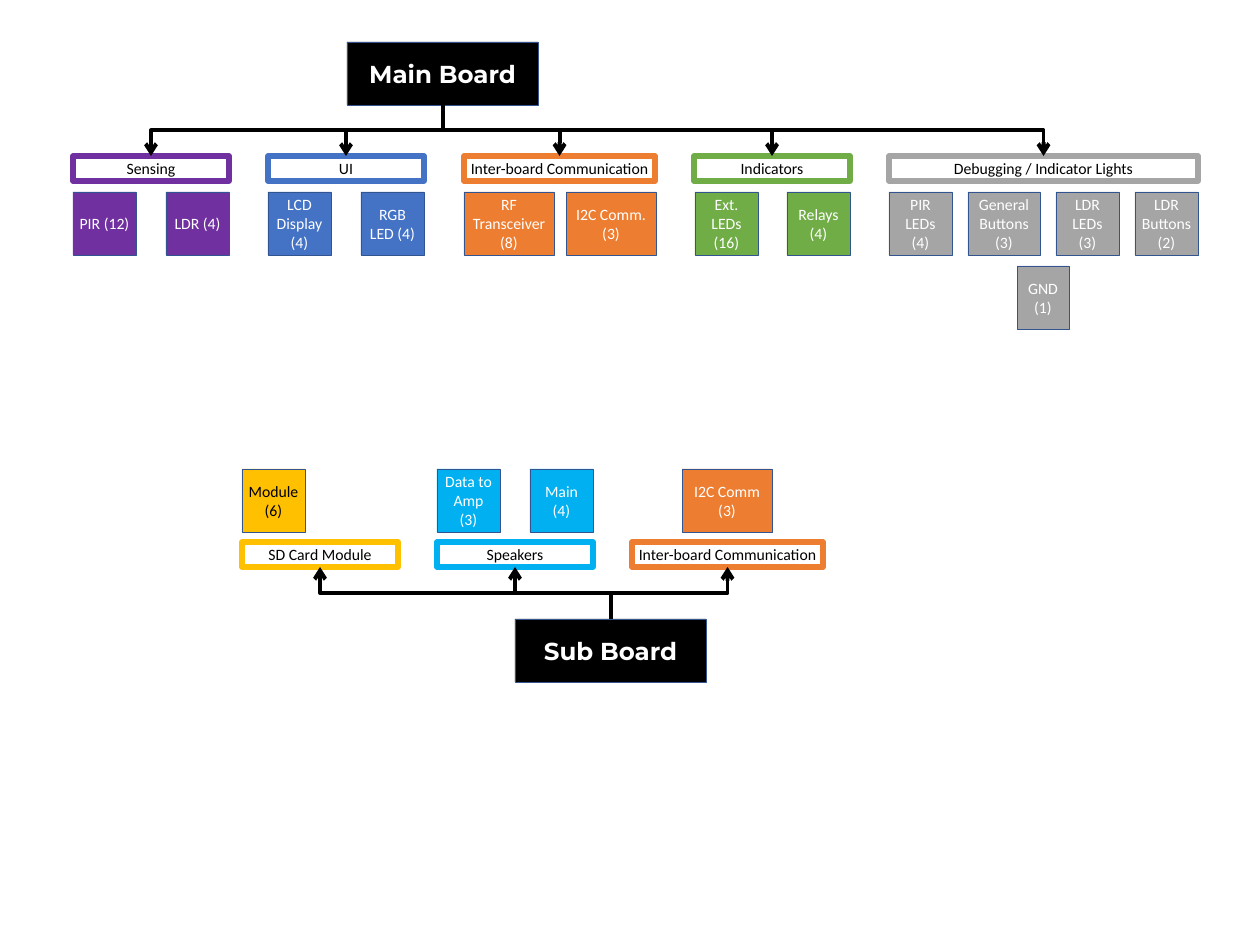
from pptx import Presentation
from pptx.dml.color import RGBColor as Rgb
from pptx.enum.shapes import MSO_CONNECTOR as Link, MSO_SHAPE as Shape
from pptx.enum.text import MSO_ANCHOR as Anchor, MSO_AUTO_SIZE as Fit, PP_ALIGN as Align
from pptx.oxml.ns import qn
from pptx.util import Pt
from lxml.etree import SubElement

SCALE = 914400 / 63
COLORS = {
    "black": "000000", "white": "FFFFFF", "edge": "325491", "purple": "7030A0",
    "blue": "4472C4", "orange": "ED7D31", "green": "70AD47", "gray": "A5A5A5",
    "cyan": "00B0F0", "yellow": "FFC000",
}
BOARD_FONT = {"name": "Montserrat", "size": Pt(28), "bold": True}
LABEL_FONT = {"name": "Calibri", "size": Pt(18), "bold": False}
TILE_FRAME = {"word_wrap": True, "vertical_anchor": Anchor.MIDDLE}
HEADER_FRAME = {"word_wrap": True, "vertical_anchor": Anchor.TOP, "auto_size": Fit.SHAPE_TO_FIT_TEXT}
BOARD_WIDTH, TILE, HEADER_HEIGHT = 191, 63, 25

MAIN_BOARD = {
    "name": "Main Board", "left": 347, "top": 42, "headers": 156, "tiles": 192,
    "groups": [
        ("Sensing", "purple", 73, 156, [("PIR (12)", 73, 63), ("LDR (4)", 166, 63)]),
        ("UI", "blue", 268, 156, [("LCD Display (4)", 268, 63), ("RGB LED (4)", 361, 63)]),
        ("Inter-board Communication", "orange", 464, 191,
         [("RF Transceiver (8)", 464, 90), ("I2C Comm. (3)", 566, 90)]),
        ("Indicators", "green", 694, 156, [("Ext. LEDs (16)", 695, 63), ("Relays (4)", 787, 63)]),
        ("Debugging / Indicator Lights", "gray", 889, 309,
         [("PIR LEDs (4)", 889, 63), ("General Buttons (3)", 968, 72),
          ("LDR LEDs (3)", 1056, 63), ("LDR Buttons (2)", 1135, 63)]),
    ],
}
SUB_BOARD = {
    "name": "Sub Board", "left": 515, "top": 619, "headers": 542, "tiles": 469,
    "groups": [
        ("SD Card Module", "yellow", 242, 156, [("Module (6)", 242, 63)]),
        ("Speakers", "cyan", 437, 156, [("Data to Amp (3)", 437, 63), ("Main (4)", 530, 63)]),
        ("Inter-board Communication", "orange", 632, 191, [("I2C Comm (3)", 682, 90)]),
    ],
}


def emu(px):
    """Turn px into EMU."""
    return round(px * SCALE)


def color(name):
    """Look up a named colour."""
    return Rgb.from_string(COLORS[name])


def apply(target, formats):
    """Set attributes from a dict of format values."""
    for key, value in formats.items():
        setattr(target, key, value)


def add_box(page, text, area, fill, line, ink, font=LABEL_FONT, frame=TILE_FRAME):
    """Draw a rectangle with centred text; line is a colour name and a width."""
    box = page.shapes.add_shape(Shape.RECTANGLE, *map(emu, area))
    box.shadow.inherit = False
    box.fill.solid()
    box.fill.fore_color.rgb = color(fill)
    box.line.color.rgb = color(line[0])
    box.line.width = Pt(line[1])
    apply(box.text_frame, frame)
    para = box.text_frame.paragraphs[0]
    para.alignment = Align.CENTER
    span = para.add_run()
    span.text = text
    apply(span.font, font)
    span.font.color.rgb = color(ink)


def add_board(page, text, left, top):
    """Draw a black board block."""
    area = (left, top, BOARD_WIDTH, TILE)
    add_box(page, text, area, "black", ("edge", 1), "white", BOARD_FONT)


def add_header(page, text, hue, left, top, width):
    """Draw the outlined title of a group."""
    area = (left, top, width, HEADER_HEIGHT)
    add_box(page, text, area, "white", (hue, 6), "black", frame=HEADER_FRAME)


def add_tile(page, text, hue, left, top, width):
    """Draw one filled component tile."""
    ink = "black" if hue == "yellow" else "white"
    add_box(page, text, (left, top, width, TILE), hue, ("edge", 1), ink)


def add_arrow(page, x1, y1, x2, y2):
    """Draw an elbow arrow that leaves and arrives vertically."""
    mid_x, mid_y = (x1 + x2) / 2, (y1 + y2) / 2
    turn = 1 if (x2 - x1) * (y2 - y1) < 0 else -1
    across, along = turn * (x2 - x1) / 2, turn * (y2 - y1) / 2
    ends = (mid_x - along, mid_y + across, mid_x + along, mid_y - across)
    arrow = page.shapes.add_connector(Link.ELBOW, *map(emu, ends))
    arrow.rotation = 90 * turn % 360
    arrow.line.color.rgb = color("black")
    arrow.line.width = Pt(4.5)
    SubElement(arrow.line._get_or_add_ln(), qn("a:tailEnd"), type="arrow")
    SubElement(arrow._element.spPr, qn("a:effectLst"))


def add_tree(page, board):
    """Draw a board with its groups, tiles and arrows."""
    top, headers = board["top"], board["headers"]
    add_board(page, board["name"], board["left"], top)
    downward = headers > top
    start = top + TILE if downward else top
    end = headers if downward else headers + HEADER_HEIGHT
    for name, hue, left, width, tiles in board["groups"]:
        add_header(page, name, hue, left, headers, width)
        for text, tile_left, tile_width in tiles:
            add_tile(page, text, hue, tile_left, board["tiles"], tile_width)
        add_arrow(page, board["left"] + BOARD_WIDTH / 2, start, left + width / 2, end)


def main():
    """Build the board diagram."""
    deck = Presentation()
    apply(deck, {"slide_width": emu(1260), "slide_height": emu(945)})
    page = deck.slides.add_slide(deck.slide_layouts[6])
    for board in (MAIN_BOARD, SUB_BOARD):
        add_tree(page, board)
    add_tile(page, "GND (1)", "gray", 1017, 266, 52)
    deck.save("out.pptx")


if __name__ == "__main__":
    main()
